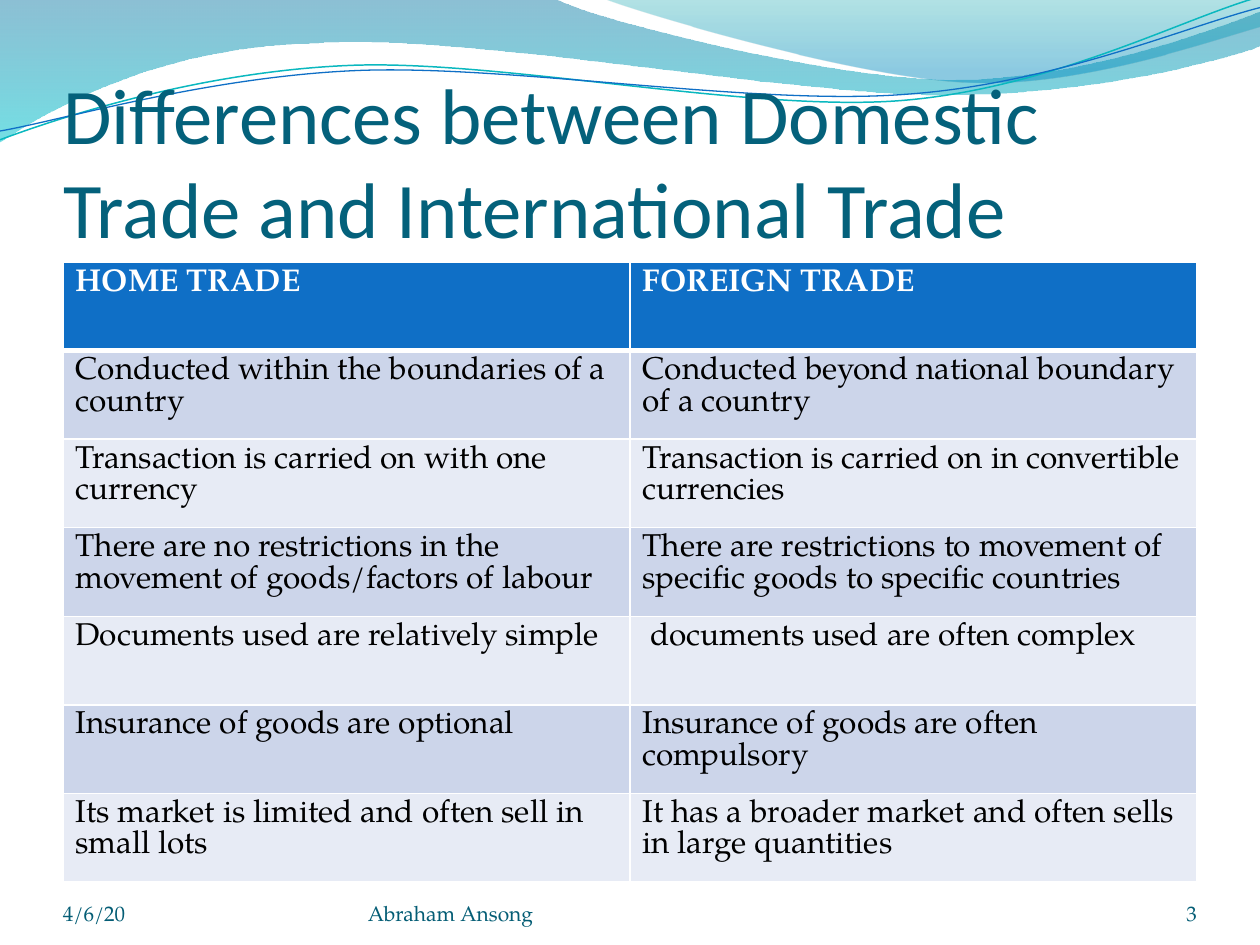
import math

import pptx
import pptx.dml.color
import pptx.enum.text
import pptx.oxml.ns
import pptx.util
from lxml import etree

Inches = pptx.util.Inches
Pt = pptx.util.Pt
RGB = pptx.dml.color.RGBColor
Anchor = pptx.enum.text.MSO_ANCHOR
Align = pptx.enum.text.PP_ALIGN
qn = pptx.oxml.ns.qn

WHITE = RGB(0xFF, 0xFF, 0xFF)
BLACK = RGB(0x00, 0x00, 0x00)
BLUE = RGB(0x0F, 0x6F, 0xC6)
TEAL = RGB(0x0A, 0xB8, 0xBF)
TITLE = RGB(0x04, 0x61, 0x7B)
FOOT = RGB(0x04, 0x5D, 0x75)
BANDS = [RGB(0xE7, 0xEB, 0xF5), RGB(0xCC, 0xD5, 0xEA)]

# Gradient stops: position, colour, opacity in percent
DEEP = [(0, RGB(0x00, 0x74, 0xA1), 45), (1, RGB(0x00, 0xC6, 0xCF), 55)]
PALE = [(0, RGB(0x00, 0xA1, 0xA9), 30), (0.8, RGB(0x00, 0x8B, 0xBF), 45)]

# Outlines: a pair is a corner, six numbers are a Bezier curve
BROAD = [(0, 0), (4.4, -0.01), (4.76, 0.17, 6.64, 0.63, 7.58, 0.63),
         (8.53, 0.63, 9.58, 0.26, 10, 0.09), (10.01, 0.36),
         (9.83, 0.44, 8.7, 0.76, 7.46, 0.75),
         (6.22, 0.75, 3.82, 0.28, 2.57, 0.34),
         (1.29, 0.36, 0.46, 0.83, -0.01, 1.13), (0, 0)]
CREST = [(4.79, -0.01), (5.09, 0.11, 6.82, 0.62, 7.69, 0.65),
         (8.56, 0.69, 9.61, 0.32, 10, 0.21), (10, 0), (4.79, -0.01)]
UPPER = [(0, 1.11), (0.48, 0.93, 1.58, 0.57, 2.77, 0.52),
         (3.95, 0.47, 5.93, 0.89, 7.13, 0.8),
         (8.33, 0.71, 9.38, 0.15, 9.98, -0.02)]
LOWER = [(0, 1.04), (0.47, 0.96, 1.64, 0.61, 2.83, 0.56),
         (4.03, 0.51, 5.97, 0.84, 7.17, 0.75),
         (8.36, 0.67, 9.41, 0.21, 10, 0.06)]
TILT = -2.7

ROWS = [
    ("HOME TRADE", "FOREIGN TRADE"),
    ("Conducted within the boundaries of a country",
     "Conducted beyond national boundary of a country"),
    ("Transaction is carried on with one currency",
     "Transaction is carried on in convertible currencies"),
    ("There are no restrictions in the movement of goods/factors of labour",
     "There are restrictions to movement of specific goods to specific countries"),
    ("Documents used are relatively simple",
     " documents used are often complex"),
    ("Insurance of goods are optional",
     "Insurance of goods are often compulsory"),
    ("Its market is limited and often sell in small lots",
     "It has a broader market and often sells in large quantities"),
]


def turn(point, box, angle):
    """Turn a point about the centre of a box; give it from the box corner."""
    left, top, width, height = box
    x, y = point[0] - left - width / 2, point[1] - top - height / 2
    cos, sin = math.cos(math.radians(angle)), math.sin(math.radians(angle))
    return x * cos - y * sin + width / 2, x * sin + y * cos + height / 2


class Deck:
    head = "Calibri"
    body = "TeX Gyre Pagella"

    def __init__(self, show):
        self.slide = show.slides.add_slide(show.slide_layouts[5])
        self.shapes = self.slide.shapes

    def font(self, para, name, size, color, bold=False):
        font = para.font
        font.name, font.size, font.bold = name, Pt(size), bold
        font.color.rgb = color

    def curve(self, steps, box, closed, tilt=0):
        """Build a freeform, then give its path true Bezier curves."""
        pen = self.shapes.build_freeform()
        pen.add_line_segments([(Inches(1), Inches(1))], close=closed)
        shape = pen.convert_to_shape()
        shape.shadow.inherit = False
        shape.left, shape.top, shape.width, shape.height = map(Inches, box)
        shape.rotation = tilt
        track = next(shape.element.iter(qn("a:path")))
        track.set("w", str(shape.width))
        track.set("h", str(shape.height))
        for part in list(track):
            track.remove(part)
        for i, step in enumerate(steps):
            tag = "cubicBezTo" if len(step) == 6 else "lnTo" if i else "moveTo"
            part = etree.SubElement(track, qn("a:" + tag))
            for pair in zip(step[::2], step[1::2]):
                x, y = turn(pair, box, -tilt)
                spot = etree.SubElement(part, qn("a:pt"))
                spot.set("x", str(Inches(x)))
                spot.set("y", str(Inches(y)))
        if closed:
            etree.SubElement(track, qn("a:close"))
        return shape

    def wave(self, steps, box, stops):
        shape = self.curve(steps, box, True)
        shape.line.fill.background()
        shape.fill.gradient()
        shape.fill.gradient_angle = 270
        for stop, (place, color, alpha) in zip(shape.fill.gradient_stops, stops):
            stop.position = place
            stop.color.rgb = color
        tints = shape.element.spPr.iter(qn("a:srgbClr"))
        for tint, (place, color, alpha) in zip(tints, stops):
            etree.SubElement(tint, qn("a:alpha")).set("val", str(alpha * 1000))

    def line(self, steps, box, color, width):
        shape = self.curve(steps, box, False, TILT)
        shape.fill.background()
        shape.line.color.rgb = color
        shape.line.width = Pt(width)

    def frame(self, shape, text, top=0):
        frame = shape.text_frame
        frame.text = text
        frame.word_wrap = True
        frame.auto_size = pptx.enum.text.MSO_AUTO_SIZE.NONE
        frame.vertical_anchor = Anchor.BOTTOM
        frame.margin_left = frame.margin_right = frame.margin_bottom = 0
        frame.margin_top = Inches(top)
        return frame.paragraphs[0]

    def title(self, text):
        shape = self.shapes.title
        shape.left, shape.top = Inches(0.5), Inches(0.77)
        shape.width, shape.height = Inches(9), Inches(1.25)
        para = self.frame(shape, text, 0.05)
        para.alignment = Align.LEFT
        self.font(para, self.head, 45, TITLE)
        # Bring the title in front of the waves
        shape.element.getparent().append(shape.element)

    def border(self, cell, top, bottom):
        props = cell._tc.get_or_add_tcPr()
        for i, (side, width) in enumerate(zip("LRTB", (1, 1, top, bottom))):
            edge = etree.Element(qn("a:ln" + side), w=str(Pt(width)))
            fill = etree.SubElement(edge, qn("a:solidFill"))
            etree.SubElement(fill, qn("a:srgbClr")).set("val", str(WHITE))
            props.insert(i, edge)

    def table(self, rows):
        grid = self.shapes.add_table(len(rows), 2, Inches(0.5), Inches(2.08),
                                     Inches(9), Inches(4.92)).table
        for r, row in enumerate(rows):
            for c, text in enumerate(row):
                cell = grid.cell(r, c)
                cell.text = text
                cell.fill.solid()
                cell.fill.fore_color.rgb = BANDS[r % 2] if r else BLUE
                self.border(cell, 3 if r == 1 else 1, 1 if r else 3)
                para = cell.text_frame.paragraphs[0]
                para.line_spacing = Pt(18)
                self.font(para, self.body, 18, BLACK if r else WHITE, r == 0)

    def foot(self, text, left, width, align=Align.LEFT):
        box = self.shapes.add_textbox(Inches(left), Inches(6.95),
                                      Inches(width), Inches(0.4))
        para = self.frame(box, text)
        para.alignment = align
        self.font(para, self.body, 12, FOOT)


def main():
    show = pptx.Presentation()
    show.slide_width, show.slide_height = Inches(10), Inches(7.5)
    deck = Deck(show)
    deck.wave(BROAD, (-0.01, -0.01, 10.02, 1.14), DEEP)
    deck.wave(CREST, (4.79, -0.01, 5.21, 0.7), PALE)
    deck.line(UPPER, (-0.02, 0.22, 10.02, 0.71), TEAL, 0.85)
    deck.line(LOWER, (-0.02, 0.3, 10.03, 0.58), BLUE, 0.75)
    deck.title("Differences between Domestic Trade and International Trade")
    deck.table(ROWS)
    deck.foot("4/6/20", 0.5, 2.33)
    deck.foot("Abraham Ansong", 2.92, 3.67)
    deck.foot("3", 8.67, 0.83, Align.RIGHT)
    show.save("out.pptx")


if __name__ == "__main__":
    main()
